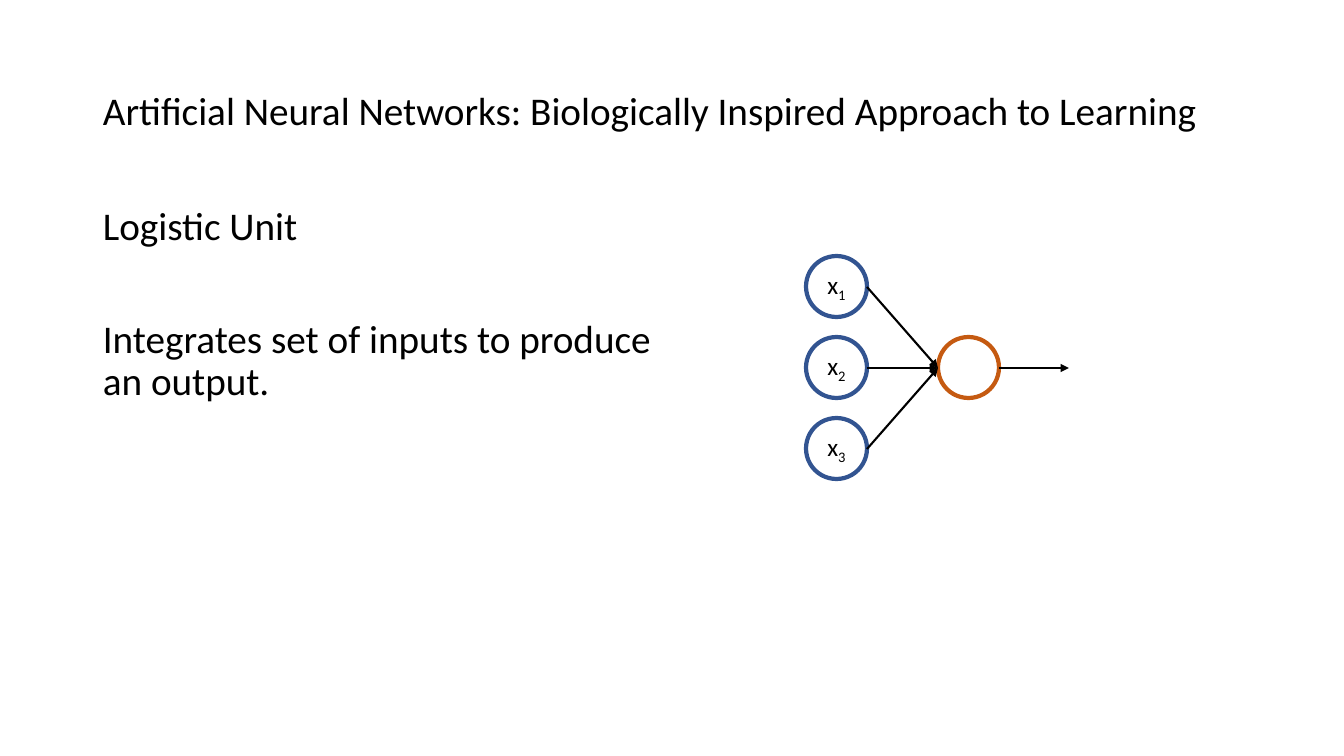
"""Builds a slide showing a logistic unit with three inputs and one output."""
from lxml import etree
from pptx import Presentation
from pptx.dml.color import RGBColor as RGB
from pptx.enum.shapes import MSO_CONNECTOR as CONN, MSO_SHAPE as SHAPE
from pptx.enum.text import MSO_ANCHOR as ANCHOR, PP_ALIGN as ALIGN
from pptx.oxml.ns import qn
from pptx.util import Pt

PX = 914400 / 100.8
COLORS = {"text": "000000", "input": "325491", "output": "C55A11"}
NODE = 61
INPUT_X, OUTPUT_X, ARROW_END = 806, 938, 1069
TOP, STEP = 256, 81


def px(*values):
    return [round(v * PX) for v in values]


def add_run(p, text, size):
    r = p.add_run()
    r.text = text
    r.font.name = "Calibri"
    r.font.size = Pt(size)
    r.font.color.rgb = RGB.from_string(COLORS["text"])
    return r


prs = Presentation()
prs.slide_width, prs.slide_height = px(1344, 756)
s = prs.slides.add_slide(prs.slide_layouts[6])

blocks = [
    ((93, 40, 1159, 146), ANCHOR.MIDDLE,
     ["Artificial Neural Networks: Biologically Inspired Approach to Learning"]),
    ((93, 202, 606, 480), ANCHOR.TOP,
     ["Logistic Unit", "Integrates set of inputs to produce an output."]),
]
for box, anchor, lines in blocks:
    tf = s.shapes.add_textbox(*px(*box)).text_frame
    tf.word_wrap = True
    tf.vertical_anchor = anchor
    for i, line in enumerate(lines):
        p = tf.add_paragraph() if i else tf.paragraphs[0]
        p.line_spacing = 0.9
        if i:
            p.space_before = Pt(50)
        add_run(p, line, 28)

nodes = [(INPUT_X, TOP + i * STEP, "input", str(i + 1)) for i in range(3)]
nodes.append((OUTPUT_X, TOP + STEP, "output", ""))
for x, y, kind, index in nodes:
    sp = s.shapes.add_shape(SHAPE.OVAL, *px(x, y, NODE, NODE))
    sp.shadow.inherit = False
    sp.fill.background()
    sp.line.color.rgb = RGB.from_string(COLORS[kind])
    sp.line.width = Pt(3)
    if index:
        tf = sp.text_frame
        tf.margin_left = tf.margin_right = tf.margin_top = tf.margin_bottom = 0
        tf.vertical_anchor = ANCHOR.MIDDLE
        p = tf.paragraphs[0]
        p.alignment = ALIGN.CENTER
        add_run(p, "x", 18)
        r = add_run(p, index, 18)
        r.font._element.set("baseline", "-25000")

middle = TOP + STEP + NODE // 2 + 1
arrows = [(INPUT_X + NODE, middle + i * STEP, OUTPUT_X, middle) for i in (-1, 0, 1)]
arrows.append((OUTPUT_X + NODE, middle, ARROW_END, middle))
for ends in arrows:
    arrow = s.shapes.add_connector(CONN.STRAIGHT, *px(*ends))
    arrow.line.color.rgb = RGB.from_string(COLORS["text"])
    arrow.line.width = Pt(1.5)
    etree.SubElement(arrow.line._get_or_add_ln(), qn("a:tailEnd"), type="triangle")
    etree.SubElement(arrow._element.spPr, qn("a:effectLst"))

prs.save("out.pptx")
